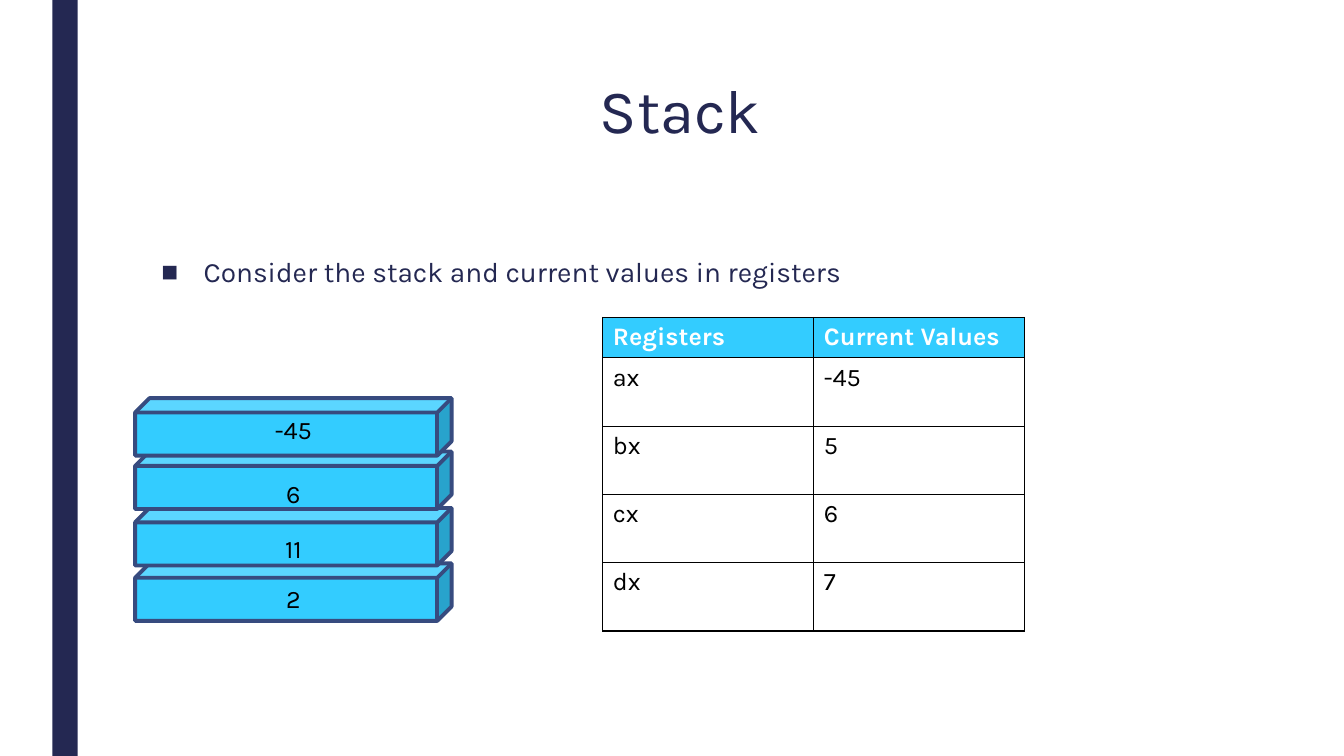
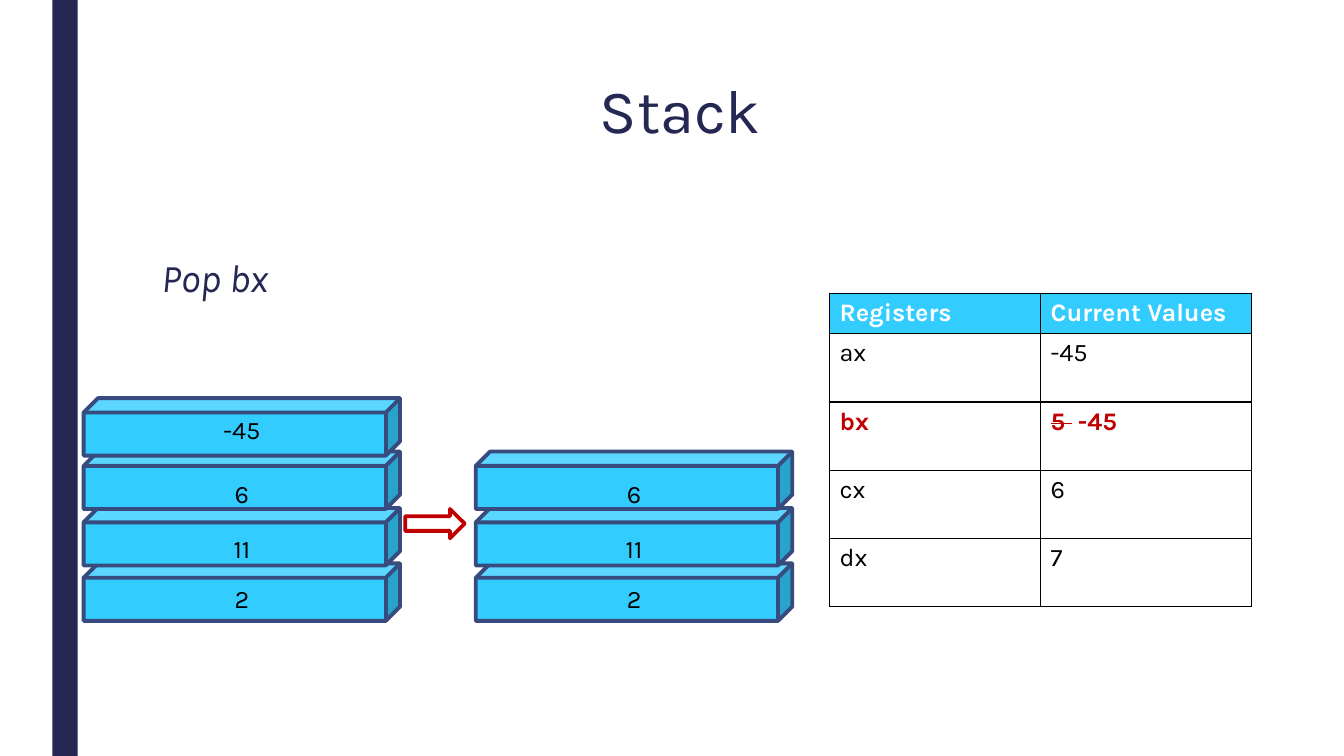
from dataclasses import dataclass
from typing import NamedTuple

from lxml import etree
from pptx import Presentation
from pptx.dml.color import RGBColor
from pptx.enum.shapes import MSO_SHAPE as Preset
from pptx.enum.text import MSO_ANCHOR as Anchor, MSO_AUTO_SIZE as AutoSize, PP_ALIGN as Align
from pptx.oxml import parse_xml
from pptx.oxml.ns import nsdecls, qn
from pptx.util import Inches, Pt

# Shared look
FONT = "Karla"
NAVY, SKY, EDGE, RED = "242852", "33CCFF", "374B7F", "C00000"
BLACK, WHITE = "000000", "FFFFFF"
SLIDE_W, SLIDE_H = Inches(13.333), Inches(7.5)
OUTLINE = 2.75

TITLE_FORMAT = {"size": Pt(44)}
POINT_FORMAT = {"size": Pt(20)}
COMMAND_FORMAT = {"size": Pt(28), "italic": True}
VALUE_FORMAT = {"size": Pt(18), "bold": False}
STRONG_FORMAT = {"size": Pt(18), "bold": True}


class Area(NamedTuple):
    """Left, top, width and height as percentages of the slide."""
    left: float
    top: float
    width: float
    height: float


class Block(NamedTuple):
    value: str
    top: float
    label_top: float


@dataclass(frozen=True)
class Register:
    name: str
    value: str
    replaced: str = ""


BAND = Area(3.9, 0, 1.88, 100)
TITLE = Area(11.25, 10, 78.75, 21.6)
BODY = Area(11.25, 33.33, 78.75, 52.27)
ARROW = Area(30.15, 67.33, 4.42, 3.87)

BLOCK_W, BLOCK_H = 23.55, 7.6
LABEL_W, LABEL_H = 14.1, 5.33
REGISTER_COL, HEADER_ROW, REGISTER_ROW = 15.7, 5.3, 9.03

# Stack content from bottom to top
STACK = (
    Block("2", 74.53, 76.53),
    Block("11", 67.2, 69.87),
    Block("6", 59.73, 62.67),
    Block("-45", 52.67, 54.13),
)
AX, BX, CX, DX = (Register("ax", "-45"), Register("bx", "5"),
                  Register("cx", "6"), Register("dx", "7"))
POPPED_BX = Register("bx", " -45", replaced="5 ")


def color(code: str) -> RGBColor:
    return RGBColor.from_string(code)


def across(share: float) -> int:
    return round(SLIDE_W * share / 100)


def down(share: float) -> int:
    return round(SLIDE_H * share / 100)


def emu(area: Area) -> tuple:
    return across(area.left), down(area.top), across(area.width), down(area.height)


def write(paragraph, words: str, code: str, formats: dict):
    run = paragraph.add_run()
    run.text = words
    run.font.name = FONT
    run.font.color.rgb = color(code)
    for name, value in formats.items():
        setattr(run.font, name, value)
    return run


def add_preset(slide, preset, area: Area, fill: str = "", line: str = ""):
    shape = slide.shapes.add_shape(preset, *emu(area))
    shape.shadow.inherit = False
    if fill:
        shape.fill.solid()
        shape.fill.fore_color.rgb = color(fill)
    else:
        shape.fill.background()
    if line:
        shape.line.color.rgb = color(line)
        shape.line.width = Pt(OUTLINE)
    else:
        shape.line.fill.background()
    return shape


def fill_placeholder(holder, area: Area, words: str, formats: dict, spacing: dict):
    places = zip(("left", "top", "width", "height"), emu(area))
    for name, value in places:
        setattr(holder, name, value)
    frame = holder.text_frame
    frame.vertical_anchor = Anchor.TOP
    frame.auto_size = AutoSize.NONE
    paragraph = frame.paragraphs[0]
    for name, value in spacing.items():
        setattr(paragraph, name, value)
    write(paragraph, words, NAVY, formats)
    return paragraph


def set_bullet(paragraph, bulleted: bool) -> None:
    props = paragraph._p.get_or_add_pPr()
    indent = Inches(0.42) if bulleted else 0
    props.set("marL", str(indent))
    props.set("indent", str(-indent))
    if bulleted:
        etree.SubElement(props, qn("a:buChar")).set("char", "■")
    else:
        etree.SubElement(props, qn("a:buNone"))


def add_stack(slide, left: float, blocks) -> None:
    for block in blocks:
        add_preset(slide, Preset.CUBE, Area(left, block.top, BLOCK_W, BLOCK_H), SKY, EDGE)
    label_left = left + (BLOCK_W - LABEL_W) / 2
    for block in blocks:
        label = slide.shapes.add_textbox(
            *emu(Area(label_left, block.label_top, LABEL_W, LABEL_H)))
        label.text_frame.word_wrap = True
        label.text_frame.auto_size = AutoSize.SHAPE_TO_FIT_TEXT
        value = label.text_frame.paragraphs[0]
        value.alignment = Align.CENTER
        write(value, block.value, BLACK, VALUE_FORMAT)


def style_cell(cell, fill: str = "") -> None:
    props = cell._tc.get_or_add_tcPr()
    for side in ("lnL", "lnR", "lnT", "lnB"):
        props.append(parse_xml(
            f'<a:{side} {nsdecls("a")} w="{Pt(1)}"><a:solidFill>'
            f'<a:srgbClr val="{BLACK}"/></a:solidFill></a:{side}>'))
    if fill:
        cell.fill.solid()
        cell.fill.fore_color.rgb = color(fill)
    else:
        cell.fill.background()


def add_registers(slide, left: float, top: float, registers) -> None:
    height = HEADER_ROW + REGISTER_ROW * len(registers)
    table = slide.shapes.add_table(
        len(registers) + 1, 2, *emu(Area(left, top, 2 * REGISTER_COL, height))).table
    table.horz_banding = False
    for column in table.columns:
        column.width = across(REGISTER_COL)
    for index, row in enumerate(table.rows):
        row.height = down(REGISTER_ROW if index else HEADER_ROW)

    for cell, heading in zip(table.rows[0].cells, ("Registers", "Current Values")):
        style_cell(cell, SKY)
        write(cell.text_frame.paragraphs[0], heading, WHITE, STRONG_FORMAT)

    for index, register in enumerate(registers, start=1):
        name_cell, value_cell = table.rows[index].cells
        changed = bool(register.replaced)
        ink = RED if changed else BLACK
        formats = STRONG_FORMAT if changed else VALUE_FORMAT
        style_cell(name_cell)
        style_cell(value_cell)
        write(name_cell.text_frame.paragraphs[0], register.name, ink, formats)
        value = value_cell.text_frame.paragraphs[0]
        if changed:
            old = write(value, register.replaced, ink, formats)
            old._r.get_or_add_rPr().set("strike", "sngStrike")
        write(value, register.value, ink, formats)


def add_stack_slide(deck, statement: str, formats: dict, bulleted: bool):
    slide = deck.slides.add_slide(deck.slide_layouts[1])
    fill_placeholder(slide.shapes.title, TITLE, "Stack", TITLE_FORMAT,
                     {"alignment": Align.CENTER, "line_spacing": 0.89})
    paragraph = fill_placeholder(
        slide.placeholders[1], BODY, statement, formats,
        {"line_spacing": 0.94, "space_before": Pt(10), "space_after": Pt(2)})
    set_bullet(paragraph, bulleted)
    return slide


def move_band_to_master(deck, slide) -> None:
    band = add_preset(slide, Preset.RECTANGLE, BAND, NAVY).element
    band.nvSpPr.cNvPr.set("id", "99")
    deck.slide_master.shapes.element.insert(2, band)


deck = Presentation()
deck.slide_width, deck.slide_height = SLIDE_W, SLIDE_H

# Starting state
start = add_stack_slide(deck, "Consider the stack and current values in registers",
                        POINT_FORMAT, bulleted=True)
move_band_to_master(deck, start)
add_stack(start, 10.05, STACK)
add_registers(start, 44.85, 42, (AX, BX, CX, DX))

# State after the pop
pop = add_stack_slide(deck, "Pop bx", COMMAND_FORMAT, bulleted=False)
add_stack(pop, 6.22, STACK)
add_registers(pop, 61.72, 38.8, (AX, POPPED_BX, CX, DX))
add_stack(pop, 35.4, STACK[:-1])
add_preset(pop, Preset.RIGHT_ARROW, ARROW, line=RED)

deck.save("out.pptx")
